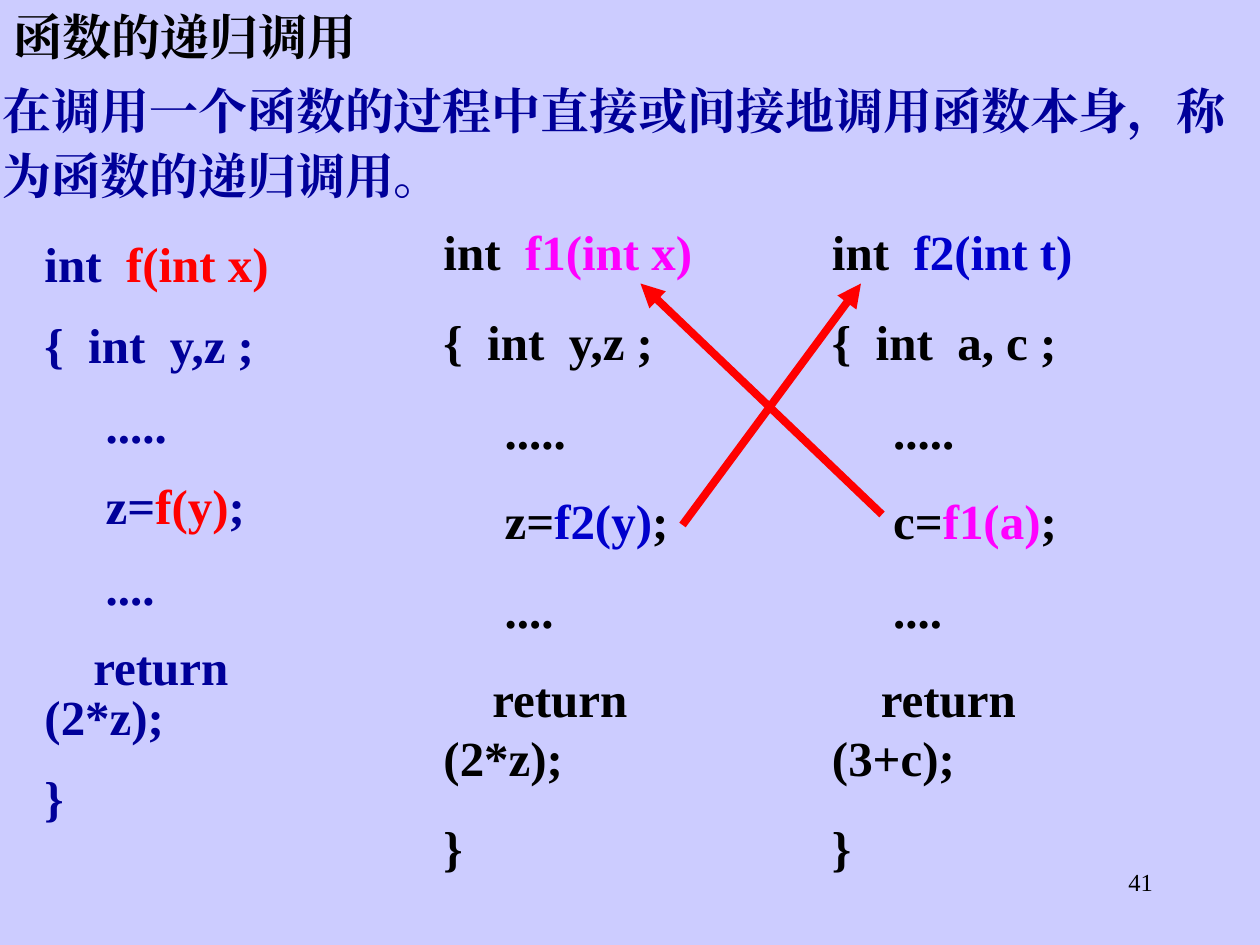
from lxml import etree
from pptx import Presentation
from pptx import util as u
from pptx.dml.color import RGBColor
from pptx.enum import shapes, text
from pptx.oxml.ns import qn

COLORS = {"bg": "CCCCFF", "black": "000000", "navy": "000099", "red": "FF0000",
          "magenta": "FF00FF", "blue": "0000CC"}
FONT = "Times New Roman"
COLS, ROWS = 120, 90  # grid of the slide
prs = Presentation()
prs.slide_width, prs.slide_height = u.Inches(10), u.Inches(7.5)


def rgb(name):
    return RGBColor.from_string(COLORS[name])


def grid(x, y):
    return round(prs.slide_width * x / COLS), round(prs.slide_height * y / ROWS)


def place(sp, box):
    sp.left, sp.top = grid(*box[:2])
    sp.width, sp.height = grid(*box[2:])


def frame(sp, inset):
    tf = sp.text_frame
    tf.word_wrap = True
    tf.auto_size = text.MSO_AUTO_SIZE.NONE
    tf.vertical_anchor = text.MSO_ANCHOR.TOP
    tf.margin_left = tf.margin_right = u.Inches(inset)
    tf.margin_top = tf.margin_bottom = u.Inches(inset / 2)
    return tf


def write(p, runs, size=28, bold=True, align=text.PP_ALIGN.LEFT, spacing=1.0, before=0):
    p.alignment, p.line_spacing, p.space_before = align, spacing, u.Pt(before)
    for words, color in runs:
        r = p.add_run()
        r.text = words
        r.font.size, r.font.bold, r.font.name = u.Pt(size), bold, FONT
        r.font.color.rgb = rgb(color)
        ea = etree.SubElement(r.font._element, qn("a:ea"))
        ea.set("typeface", FONT)


def title(s, box):
    sp = s.shapes.title
    place(sp, box)
    write(frame(sp, 0.1).paragraphs[0], [("函数的递归调用", "black")])


def definition(s, box):
    sp = s.placeholders[1]
    place(sp, box)
    p = frame(sp, 0.02).paragraphs[0]
    pPr = p._p.get_or_add_pPr()
    pPr.set("marL", "0")
    pPr.set("indent", "0")
    etree.SubElement(pPr, qn("a:buNone"))
    write(p, [("在调用一个函数的过程中直接或间接地调用函数本身，称为函数的递归调用。", "navy")],
          spacing=1.1)


def listing(s, box, base, head, variables, target, call, result, spacing=1.0):
    """One function; head and call are (words, colour) pairs."""
    lines = [
        [("int  ", base), head],
        [("{  int  " + variables + " ;", base)],
        [("     .....", base)],
        [("     " + target + "=", base), call, (";", base)],
        [("     ....", base)],
        [("    return  (" + result + ");", base)],
        [("}", base)],
    ]
    sp = s.shapes.add_textbox(0, 0, 0, 0)
    place(sp, box)
    tf = frame(sp, 0.02)
    for i, runs in enumerate(lines):
        p = tf.add_paragraph() if i else tf.paragraphs[0]
        write(p, runs, spacing=spacing, before=17.5 if i else 0)


def call_arrow(s, start, end):
    cn = s.shapes.add_connector(shapes.MSO_CONNECTOR.STRAIGHT, *grid(*start), *grid(*end))
    cn.line.color.rgb = rgb("red")
    cn.line.width = u.Pt(4.5)
    etree.SubElement(cn.line._get_or_add_ln(), qn("a:tailEnd")).set("type", "triangle")
    etree.SubElement(cn._element.spPr, qn("a:effectLst"))


def page_number(s, box):
    sp = s.shapes.add_textbox(0, 0, 0, 0)
    place(sp, box)
    write(frame(sp, 0.1).paragraphs[0], [("41", "black")], size=14, bold=False,
          align=text.PP_ALIGN.RIGHT)


def main():
    s = prs.slides.add_slide(prs.slide_layouts[1])
    s.background.fill.solid()
    s.background.fill.fore_color.rgb = rgb("bg")

    # Heading and definition
    title(s, (0.1, 0, 37, 6.8))
    definition(s, (0, 7, COLS, 12.6))

    # Direct recursion
    listing(s, (4, 23, 31, 56), "navy", ("f(int x)", "red"), "y,z", "z",
            ("f(y)", "red"), "2*z", spacing=0.85)

    # Indirect recursion: f1 and f2 call each other
    f1, f2 = "magenta", "blue"
    listing(s, (42, 21, 31, 62.6), "black", ("f1(int x)", f1), "y,z", "z",
            ("f2(y)", f2), "2*z")
    listing(s, (79, 21, 31, 62.6), "black", ("f2(int t)", f2), "a, c", "c",
            ("f1(a)", f1), "3+c")
    call_arrow(s, (65, 50), (82, 27))
    call_arrow(s, (84, 49), (61, 27))

    page_number(s, (86, 82, 25, 6))
    prs.save("out.pptx")


if __name__ == "__main__":
    main()
